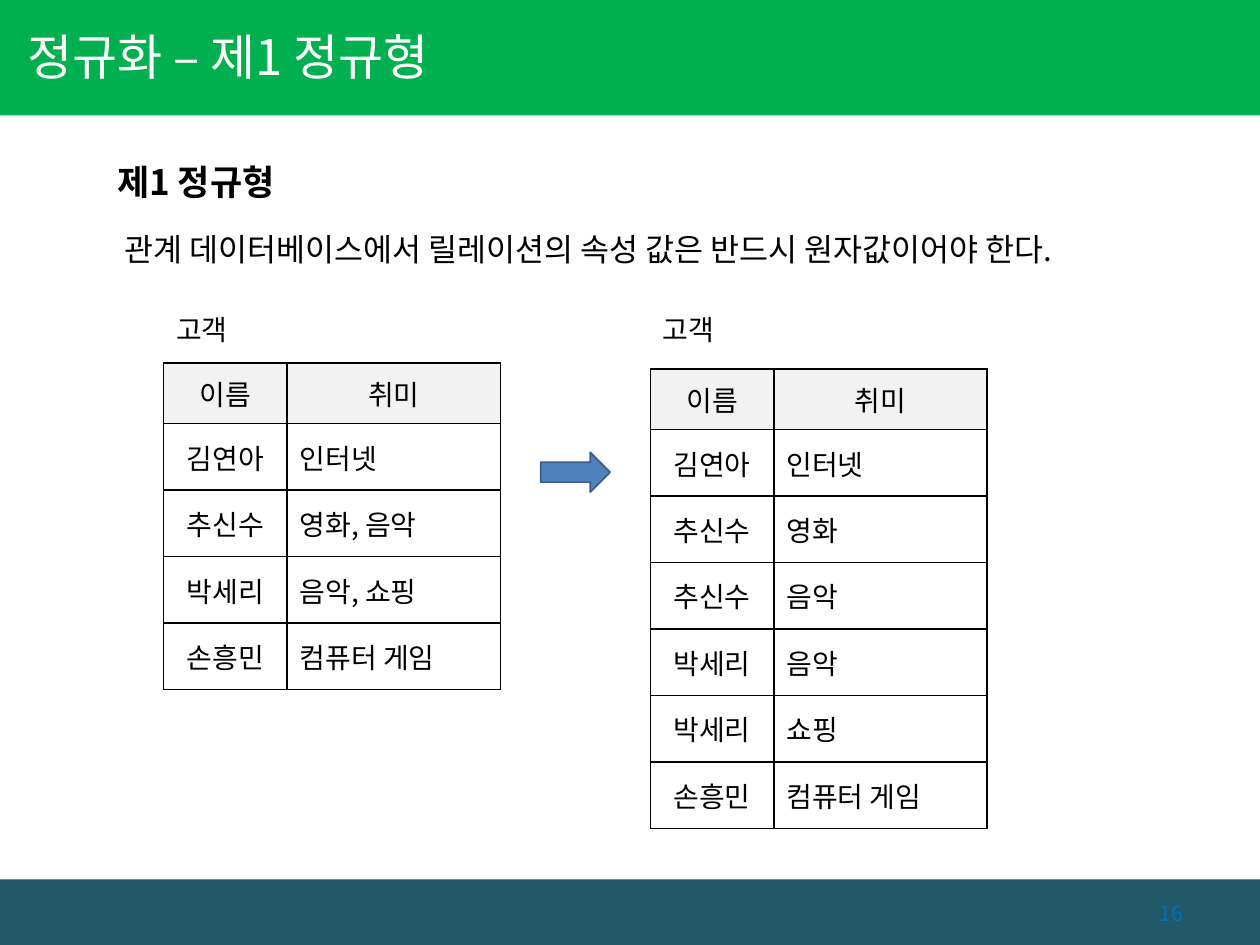
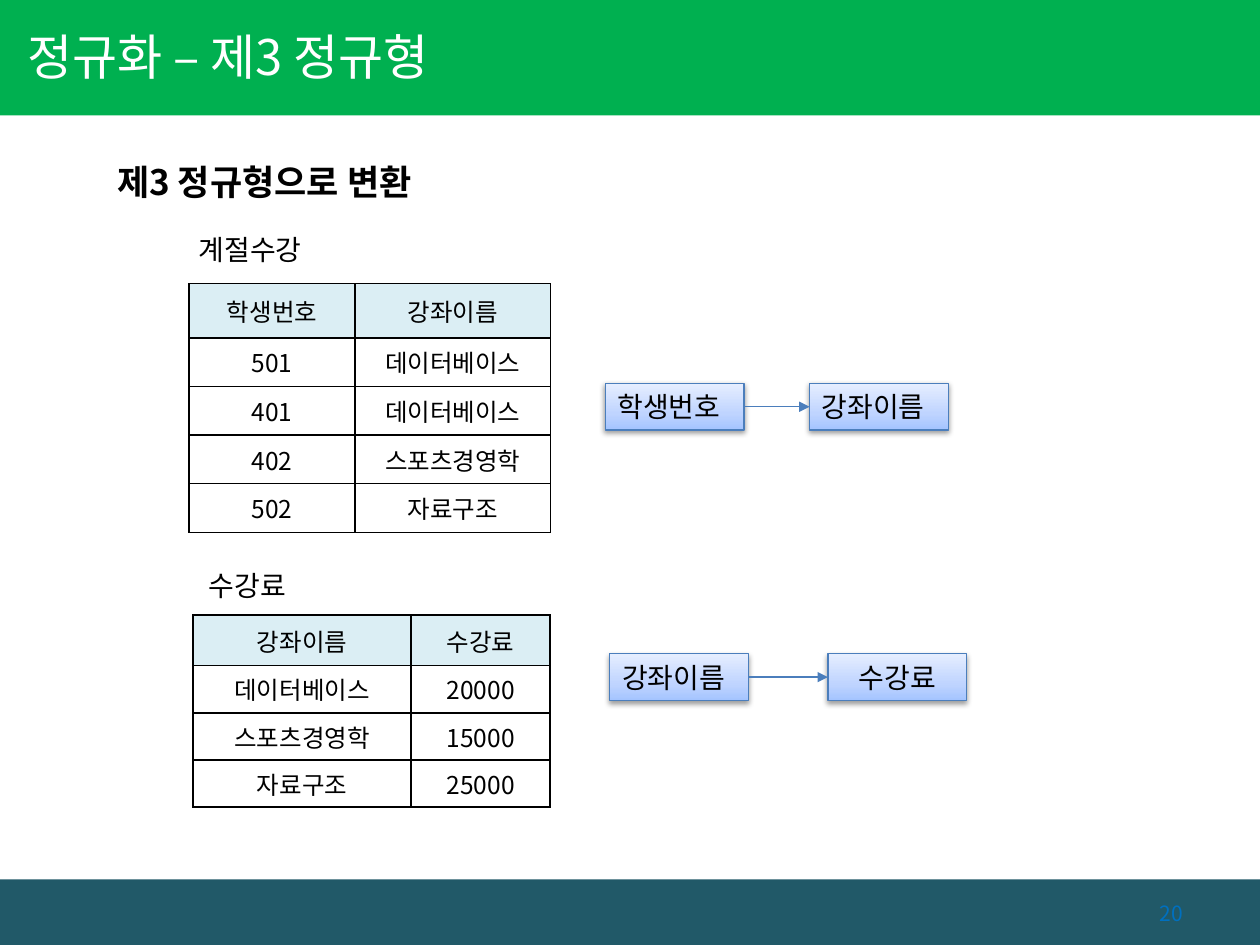
from lxml.etree import SubElement
from pptx import Presentation
from pptx.dml.color import RGBColor
from pptx.enum.shapes import MSO_CONNECTOR, MSO_SHAPE
from pptx.enum.text import MSO_ANCHOR, PP_ALIGN
from pptx.oxml.ns import qn
from pptx.util import Cm, Pt

FONT = "Noto Sans CJK KR"
BLACK, WHITE = "000000", "FFFFFF"
TITLE_GREEN, FOOTER_TEAL, NUMBER_BLUE = "00B050", "215968", "0070C0"
ARROW_BLUE, ARROW_EDGE, NODE_EDGE = "4F81BD", "3A5F8C", "4B7EBC"
HEADER_GREY, HEADER_AQUA = "F2F2F2", "DBEEF4"
NODE_GRADIENT = [(0, "A4C4FF"), (35, "BFD4FF"), (100, "E6EEFF")]

PAGE_WIDTH, PAGE_HEIGHT = 25.4, 19.05
TITLE_HEIGHT, FOOTER_TOP = 2.33, 17.73
NODE_WIDTH, NODE_HEIGHT = 2.8, 0.94


def colour(value):
    return RGBColor.from_string(value)


def style_para(para, text, size, ink=BLACK, bold=False, align=PP_ALIGN.LEFT):
    para.text = text
    para.alignment = align
    font = para.font
    font.name, font.size, font.bold = FONT, Pt(size), bold
    font.color.rgb = colour(ink)
    defaults = para._p.pPr.find(qn("a:defRPr"))
    SubElement(defaults, qn("a:ea"), typeface=FONT)


def add_text(page, text, left, top, width, height, size,
             anchor=MSO_ANCHOR.TOP, **style):
    box = page.shapes.add_textbox(Cm(left), Cm(top), Cm(width), Cm(height))
    frame = box.text_frame
    frame.word_wrap = True
    frame.vertical_anchor = anchor
    style_para(frame.paragraphs[0], text, size, **style)


def add_block(page, kind, left, top, width, height, fill=None, edge=None, weight=1):
    box = page.shapes.add_shape(kind, Cm(left), Cm(top), Cm(width), Cm(height))
    box.shadow.inherit = False
    if fill:
        box.fill.solid()
        box.fill.fore_color.rgb = colour(fill)
    if edge:
        box.line.color.rgb = colour(edge)
        box.line.width = Pt(weight)
    else:
        box.line.fill.background()
    return box


def add_page(deck, title, heading, number):
    page = deck.slides.add_slide(deck.slide_layouts[6])
    add_block(page, MSO_SHAPE.RECTANGLE, 0, FOOTER_TOP, PAGE_WIDTH,
              PAGE_HEIGHT - FOOTER_TOP, FOOTER_TEAL)
    add_block(page, MSO_SHAPE.RECTANGLE, 0, 0, PAGE_WIDTH, TITLE_HEIGHT, TITLE_GREEN)
    add_text(page, title, 0.3, 0, 15.7, 2.25, 28, MSO_ANCHOR.MIDDLE, ink=WHITE)
    add_text(page, heading, 2.11, 3.12, 10, 1.12, 20, bold=True)
    add_text(page, str(number), 21, 17.9, 3.1, 1.02, 12, MSO_ANCHOR.MIDDLE,
             ink=NUMBER_BLUE, align=PP_ALIGN.RIGHT)
    return page


def add_borders(cell):
    properties = cell._tc.get_or_add_tcPr()
    for side in ("lnL", "lnR", "lnT", "lnB"):
        border = SubElement(properties, qn(f"a:{side}"), w=str(Pt(1)))
        fill = SubElement(border, qn("a:solidFill"))
        SubElement(fill, qn("a:srgbClr"), val=BLACK)


def add_grid(page, rows, left, top, widths, header_height, row_height,
             size, header_fill, aligns):
    heights = [header_height] + [row_height] * (len(rows) - 1)
    table = page.shapes.add_table(len(rows), len(widths), Cm(left), Cm(top),
                                  Cm(sum(widths)), Cm(sum(heights))).table
    table.first_row = table.horz_banding = False
    for column, width in zip(table.columns, widths):
        column.width = Cm(width)
    for row_index, (values, height) in enumerate(zip(rows, heights)):
        table.rows[row_index].height = Cm(height)
        for column_index, value in enumerate(values):
            cell = table.cell(row_index, column_index)
            cell.margin_top = cell.margin_bottom = Cm(0.1)
            cell.vertical_anchor = MSO_ANCHOR.MIDDLE
            add_borders(cell)
            if row_index == 0:
                cell.fill.solid()
                cell.fill.fore_color.rgb = colour(header_fill)
            else:
                cell.fill.background()
            align = aligns[column_index] if row_index else PP_ALIGN.CENTER
            style_para(cell.text_frame.paragraphs[0], value, size, align=align)


def add_hobby_table(page, records, left, top):
    add_text(page, "고객", left, 6.17, 1.9, 0.94, 16)
    add_grid(page, [("이름", "취미")] + records, left, top, (2.49, 4.3), 1.22, 1.34,
             16, HEADER_GREY, (PP_ALIGN.CENTER, PP_ALIGN.LEFT))


def add_course_table(page, rows, left, top, widths, header_height, row_height):
    add_grid(page, rows, left, top, widths, header_height, row_height,
             14, HEADER_AQUA, (PP_ALIGN.CENTER, PP_ALIGN.CENTER))


def add_node(page, text, left, top, align=PP_ALIGN.LEFT):
    box = add_block(page, MSO_SHAPE.RECTANGLE, left, top, NODE_WIDTH, NODE_HEIGHT,
                    edge=NODE_EDGE, weight=0.75)
    box.fill.gradient()
    box.fill.gradient_angle = 90
    properties = box._element.spPr
    stops = properties.find(f"{qn('a:gradFill')}/{qn('a:gsLst')}")
    for stop in list(stops):
        stops.remove(stop)
    for position, value in NODE_GRADIENT:
        stop = SubElement(stops, qn("a:gs"), pos=str(position * 1000))
        SubElement(stop, qn("a:srgbClr"), val=value)
    shadow = SubElement(properties.find(qn("a:effectLst")), qn("a:outerShdw"),
                        blurRad="40000", dist="20000", dir="5400000", rotWithShape="0")
    shade = SubElement(shadow, qn("a:srgbClr"), val=BLACK)
    SubElement(shade, qn("a:alpha"), val="38000")
    box.text_frame.word_wrap = True
    style_para(box.text_frame.paragraphs[0], text, 16, align=align)
    return box


def add_dependency(page, source, target):
    arrow = page.shapes.add_connector(MSO_CONNECTOR.STRAIGHT, 0, 0, 0, 0)
    arrow.begin_connect(source, 3)
    arrow.end_connect(target, 1)
    arrow.line.color.rgb = colour(NODE_EDGE)
    arrow.line.width = Pt(0.75)
    SubElement(arrow.line._get_or_add_ln(), qn("a:tailEnd"), type="triangle")
    SubElement(arrow._element.spPr, qn("a:effectLst"))


def build_first_form(deck):
    page = add_page(deck, "정규화 – 제1 정규형", "제1 정규형", 16)
    add_text(page, "관계 데이터베이스에서 릴레이션의 속성 값은 반드시 원자값이어야 한다.",
             2.26, 4.52, 21.44, 1.02, 18)
    add_hobby_table(page, [("김연아", "인터넷"), ("추신수", "영화, 음악"),
                           ("박세리", "음악, 쇼핑"), ("손흥민", "컴퓨터 게임")], 3.3, 7.32)
    add_block(page, MSO_SHAPE.RIGHT_ARROW, 10.9, 9.12, 1.4, 0.8, ARROW_BLUE, ARROW_EDGE)
    add_hobby_table(page, [("김연아", "인터넷"), ("추신수", "영화"), ("추신수", "음악"),
                           ("박세리", "음악"), ("박세리", "쇼핑"),
                           ("손흥민", "컴퓨터 게임")], 13.11, 7.44)


def build_third_form(deck):
    page = add_page(deck, "정규화 – 제3 정규형", "제3 정규형으로 변환", 20)
    add_text(page, "계절수강", 3.76, 4.57, 3.33, 0.94, 16)
    add_course_table(page, [("학생번호", "강좌이름"), ("501", "데이터베이스"),
                            ("401", "데이터베이스"), ("402", "스포츠경영학"),
                            ("502", "자료구조")], 3.81, 5.72, (3.35, 3.94), 1.09, 0.98)
    add_text(page, "수강료", 3.96, 11.33, 3.33, 0.94, 16)
    add_course_table(page, [("강좌이름", "수강료"), ("데이터베이스", "20000"),
                            ("스포츠경영학", "15000"), ("자료구조", "25000")],
                     3.89, 12.4, (4.4, 2.8), 1.02, 0.95)
    student = add_node(page, "학생번호", 12.2, 7.73)
    course = add_node(page, "강좌이름", 16.32, 7.73)
    add_dependency(page, student, course)
    priced_course = add_node(page, "강좌이름", 12.29, 13.18)
    fee = add_node(page, "수강료", 16.69, 13.18, PP_ALIGN.CENTER)
    add_dependency(page, priced_course, fee)


def main():
    deck = Presentation()
    deck.slide_width, deck.slide_height = Cm(PAGE_WIDTH), Cm(PAGE_HEIGHT)
    build_first_form(deck)
    build_third_form(deck)
    deck.save("out.pptx")


if __name__ == "__main__":
    main()
